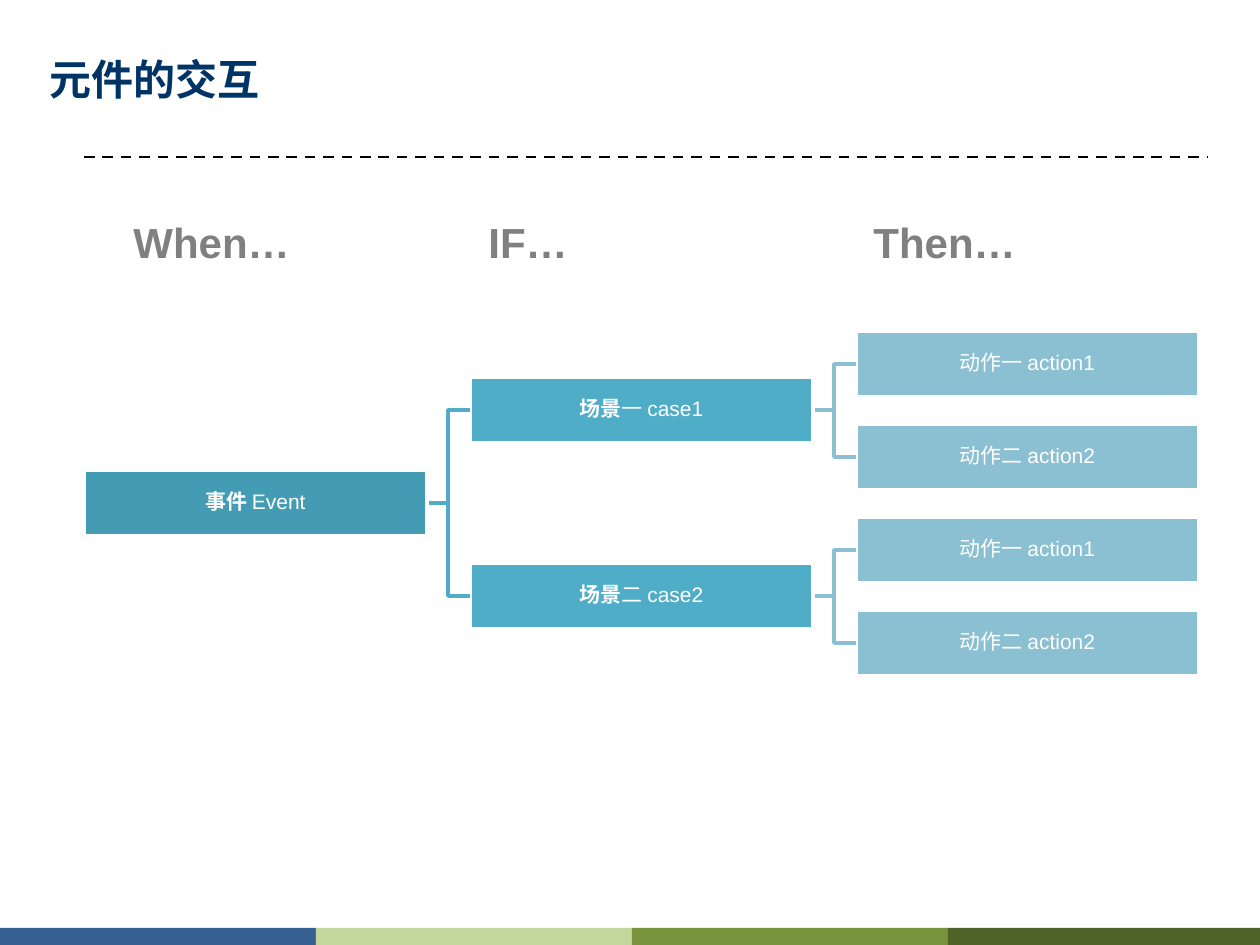
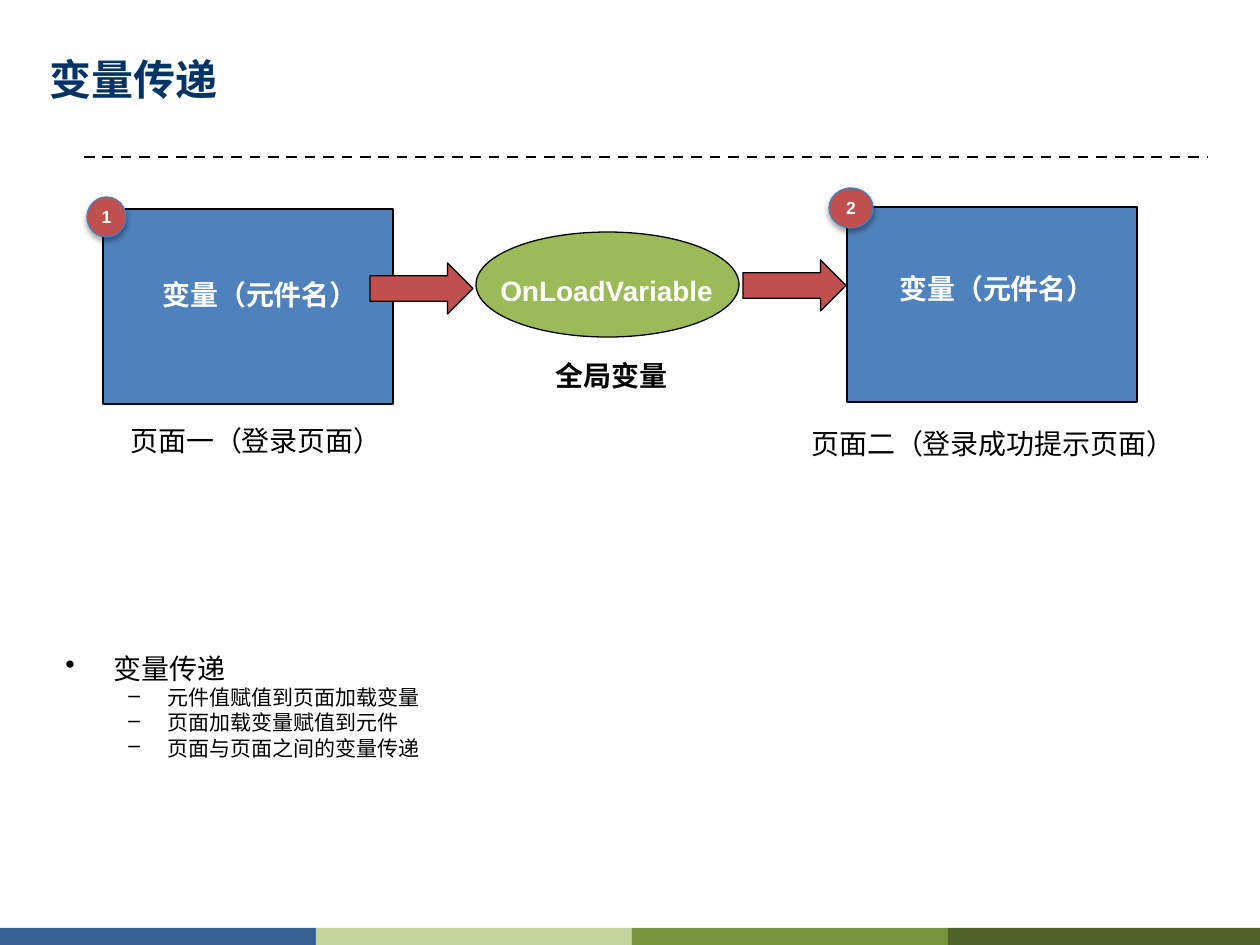
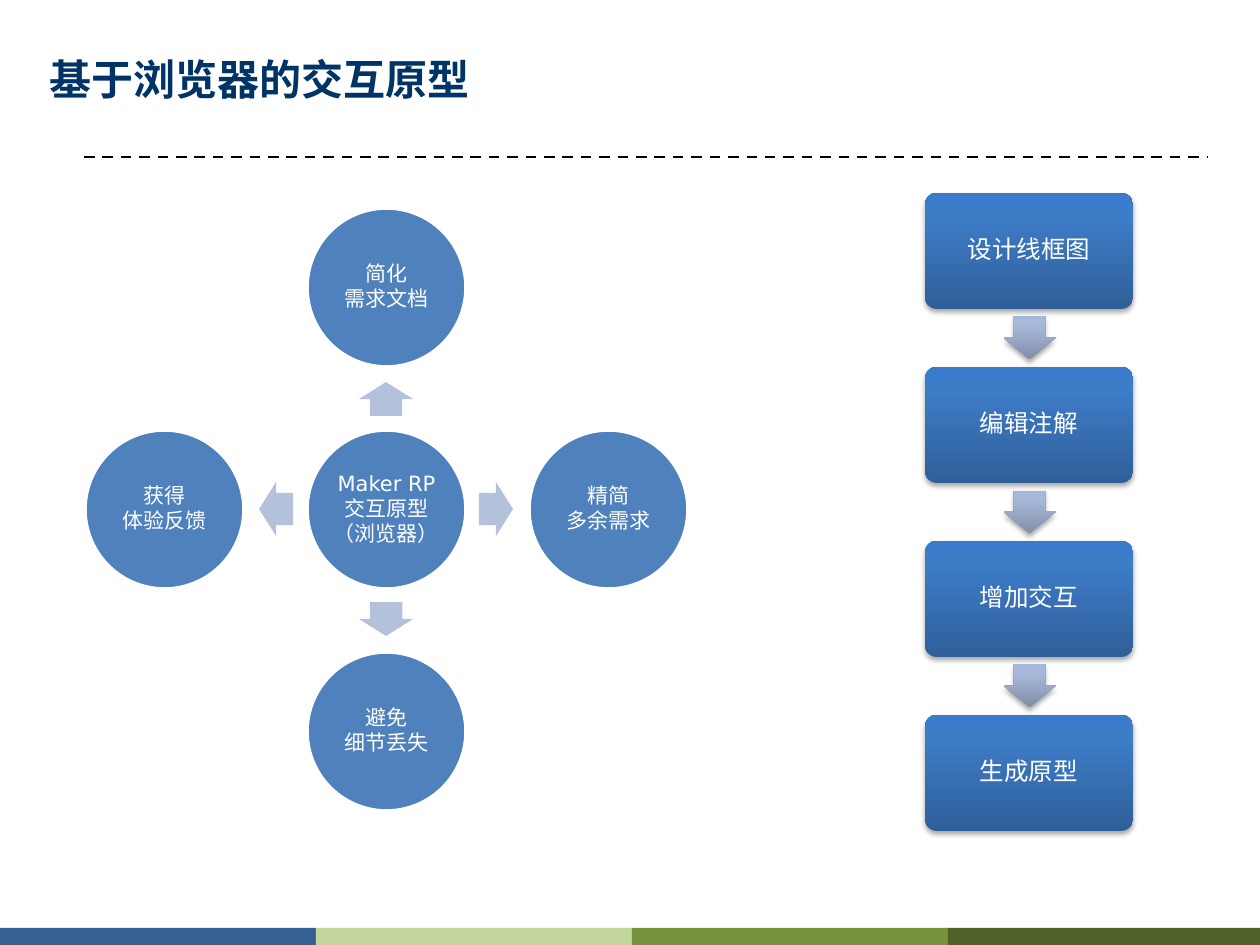
from dataclasses import dataclass

from lxml.etree import SubElement
from pptx import Presentation
from pptx.dml.color import RGBColor
from pptx.enum.dml import MSO_LINE
from pptx.enum.shapes import MSO_CONNECTOR, MSO_SHAPE
from pptx.enum.text import MSO_ANCHOR, PP_ALIGN
from pptx.oxml import parse_xml
from pptx.oxml.ns import nsdecls, qn
from pptx.util import Emu, Pt

PX = 914400 / 126
WIDTH, HEIGHT = 1260, 945
CJK = "Noto Sans CJK SC"
LATIN = "Arial"
DIAGRAM = "DejaVu Sans"
COLORS = {
    "title": "003366", "black": "000000", "white": "FFFFFF", "heading": "808080",
    "event": "449CB4", "case": "50ADC7", "action": "8BC0D3",
    "page": "4F81BD", "red": "C0504D", "badge_line": "4B7EBC", "variable": "9BBB59",
    "pale_arrow": "B3C1DB",
}
BANDS = ("376092", "C3D69B", "77933C", "4F6228")
STEP_GRADIENT = ((0, "2F5F99"), (80, "3D7CC7"), (100, "3A7CCB"))
ARROW_GRADIENT = ((0, "818FA8"), (80, "A7B9DA"), (100, "A7BADC"))


@dataclass(frozen=True)
class Box:
    """A rectangle in px."""
    x: int
    y: int
    w: int
    h: int

    def emu(self) -> tuple:
        """Return left, top, width and height in EMU."""
        return tuple(px(v) for v in (self.x, self.y, self.w, self.h))


@dataclass(frozen=True)
class Style:
    """The look of a run of text."""
    size: int
    color: str = "black"
    bold: bool = False
    font: str = LATIN


@dataclass(frozen=True)
class Node:
    """A box of the event tree, with a bold and a plain part of its label."""
    strong: str
    plain: str
    children: tuple = ()


@dataclass(frozen=True)
class Label:
    """A free-standing line of text."""
    text: str
    box: Box
    style: Style


@dataclass(frozen=True)
class Page:
    """A page block with its numbered badge."""
    number: str
    box: Box
    badge: Box


@dataclass(frozen=True)
class Spoke:
    """A circle around the hub, with its direction."""
    text: str
    dx: int
    dy: int
    angle: int


ACTIONS = (Node("", "动作一 action1"), Node("", "动作二 action2"))
TREE = Node("事件 ", "Event", (
    Node("场景", "一 case1", ACTIONS),
    Node("场景", "二 case2", ACTIONS),
))
LEVELS = ("event", "case", "action")
NODE_X, NODE_STEP, NODE_W, NODE_H = 84, 386, 343, 66
LEAF_Y, LEAF_STEP = 364, 93

HEADING = Style(24, "heading", True)
HEADINGS = (
    Label("When…", Box(121, 210, 248, 63), HEADING),
    Label("IF…", Box(476, 210, 165, 63), HEADING),
    Label("Then…", Box(861, 210, 198, 63), HEADING),
)

PAGES = (
    Page("1", Box(103, 209, 290, 195), Box(87, 197, 39, 40)),
    Page("2", Box(847, 207, 290, 195), Box(829, 188, 44, 40)),
)
FLOW_ARROWS = (Box(370, 263, 103, 51), Box(743, 260, 103, 51))
VARIABLE_BOX = Box(476, 232, 263, 105)
ON_FILL = Style(16, "white", True)
VARIABLE_LABELS = (
    Label("页面一（登录页面）", Box(118, 417, 280, 47), Style(16)),
    Label("页面二（登录成功提示页面）", Box(799, 420, 393, 47), Style(16)),
    Label("变量（元件名）", Box(150, 271, 223, 47), ON_FILL),
    Label("变量（元件名）", Box(887, 265, 223, 47), ON_FILL),
    Label("OnLoadVariable", Box(488, 267, 251, 47), ON_FILL),
    Label("全局变量", Box(543, 352, 139, 47), Style(16, bold=True)),
)
BULLETS = ("变量传递", "元件值赋值到页面加载变量", "页面加载变量赋值到元件", "页面与页面之间的变量传递")

HUB_X, HUB_Y, CIRCLE, SPOKE, ARROW_REACH = 386, 509, 159, 222, 110
HUB_TEXT = "Maker RP\n交互原型\n（浏览器）"
SPOKES = (
    Spoke("简化\n需求文档", 0, -1, 270),
    Spoke("精简\n多余需求", 1, 0, 0),
    Spoke("避免\n细节丢失", 0, 1, 90),
    Spoke("获得\n体验反馈", -1, 0, 180),
)
STEPS = ("设计线框图", "编辑注解", "增加交互", "生成原型")
STEP_BOX, STEP_PITCH = Box(925, 193, 208, 116), 174


def px(value: float) -> Emu:
    """Turn px into EMU."""
    return Emu(round(value * PX))


def rgb(name: str) -> RGBColor:
    """Look a colour up by name, or take it as hex."""
    return RGBColor.from_string(COLORS.get(name, name))


def centred(x: int, y: int, w: int, h: int) -> Box:
    """Return a box around a centre point."""
    return Box(x - w // 2, y - h // 2, w, h)


def format_run(r, style: Style) -> None:
    """Apply a text style to one run."""
    r.font.size = Pt(style.size)
    r.font.bold = style.bold
    r.font.color.rgb = rgb(style.color)
    r.font.name = style.font
    SubElement(r._r.get_or_add_rPr(), qn("a:ea")).set("typeface", CJK)


def write(sp, text: str, style: Style, align=PP_ALIGN.LEFT) -> None:
    """Set the text of a shape and format all its runs."""
    tf = sp.text_frame
    tf.text = text
    for p in tf.paragraphs:
        p.alignment = align
        for r in p.runs:
            format_run(r, style)


def write_centred(sp, text: str, style: Style, inset: int) -> None:
    """Write tight centred lines into a diagram shape."""
    tf = sp.text_frame
    tf.word_wrap = True
    tf.vertical_anchor = MSO_ANCHOR.MIDDLE
    tf.margin_left = tf.margin_right = tf.margin_top = tf.margin_bottom = px(inset)
    write(sp, text, style, PP_ALIGN.CENTER)
    for p in tf.paragraphs:
        p.line_spacing = 0.9
    for p in tf.paragraphs[1:]:
        p.space_before = Pt(1.5)


def add_shape(s, kind, box: Box, fill: str, line: str = "", width: float = 0.75):
    """Add a filled preset shape without a shadow."""
    sp = s.shapes.add_shape(kind, *box.emu())
    sp.shadow.inherit = False
    sp.fill.solid()
    sp.fill.fore_color.rgb = rgb(fill)
    if line:
        sp.line.color.rgb = rgb(line)
        sp.line.width = Pt(width)
    else:
        sp.line.fill.background()
    return sp


def add_label(s, label: Label) -> None:
    """Add a line of text that does not wrap."""
    sp = s.shapes.add_textbox(*label.box.emu())
    sp.text_frame.word_wrap = False
    write(sp, label.text, label.style)


def add_shadow(sp) -> None:
    """Give a shape a soft shadow below it."""
    effects = sp._element.spPr.find(qn("a:effectLst"))
    effects.append(parse_xml(
        f'<a:outerShdw {nsdecls("a")} blurRad="39370" dist="22860" dir="5400000" rotWithShape="0">'
        '<a:srgbClr val="000000"><a:alpha val="35000"/></a:srgbClr></a:outerShdw>'))


def set_gradient(sp, stops: tuple) -> None:
    """Replace the solid fill by an upward gradient."""
    colors = "".join(f'<a:gs pos="{pos * 1000}"><a:srgbClr val="{c}"/></a:gs>' for pos, c in stops)
    solid = sp._element.spPr.find(qn("a:solidFill"))
    solid.getparent().replace(solid, parse_xml(
        f'<a:gradFill {nsdecls("a")} rotWithShape="0"><a:gsLst>{colors}</a:gsLst>'
        '<a:lin ang="16200000" scaled="0"/></a:gradFill>'))


def add_block_arrow(s, box: Box, angle: int):
    """Add a wide pale arrow turned by an angle."""
    sp = add_shape(s, MSO_SHAPE.RIGHT_ARROW, box, "pale_arrow")
    sp.adjustments[0], sp.adjustments[1] = 0.6, 0.5
    sp.rotation = angle
    return sp


def new_slide(prs, title: str):
    """Add a slide with the shared title, rule and bottom bands."""
    s = prs.slides.add_slide(prs.slide_layouts[5])
    rule = s.shapes.add_connector(MSO_CONNECTOR.STRAIGHT, px(84), px(157), px(1207), px(157))
    rule.line.color.rgb = rgb("black")
    rule.line.width = Pt(1.5)
    rule.line.dash_style = MSO_LINE.DASH
    SubElement(rule._element.spPr, qn("a:effectLst"))
    for i, color in enumerate(BANDS):
        add_shape(s, MSO_SHAPE.RECTANGLE, Box(316 * i, 928, 316, 21), color)
    sp = s.shapes.title
    sp.left, sp.top, sp.width, sp.height = Box(37, 21, 1197, 116).emu()
    sp.text_frame.vertical_anchor = MSO_ANCHOR.MIDDLE
    write(sp, title, Style(24, "title", True, CJK))
    return s


def add_elbow(s, x: int, y: int, end_y: int, color: str) -> None:
    """Draw an angled line across the gap between two levels."""
    gap = NODE_STEP - NODE_W
    builder = s.shapes.build_freeform(x, y, scale=PX)
    builder.add_line_segments(
        [(x + gap // 2, y), (x + gap // 2, end_y), (x + gap, end_y)], close=False)
    sp = builder.convert_to_shape()
    sp.shadow.inherit = False
    sp.fill.background()
    sp.line.color.rgb = rgb(color)
    sp.line.width = Pt(2)


def add_node(s, node: Node, depth: int = 0, leaf: int = 0) -> tuple[int, int]:
    """Draw a subtree and return its centre and the next free leaf row."""
    x = NODE_X + NODE_STEP * depth
    centres = []
    for child in node.children:
        centre, leaf = add_node(s, child, depth + 1, leaf)
        centres.append(centre)
    if centres:
        y = sum(centres) // len(centres)
    else:
        y = LEAF_Y + LEAF_STEP * leaf
        leaf += 1
    for centre in centres:
        add_elbow(s, x + NODE_W, y, centre, LEVELS[depth + 1])
    sp = add_shape(s, MSO_SHAPE.RECTANGLE, Box(x, y - NODE_H // 2, NODE_W, NODE_H),
                   LEVELS[depth], "white", 2)
    write_centred(sp, node.strong, Style(12, "white", True), 1)
    r = sp.text_frame.paragraphs[0].add_run()
    r.text = node.plain
    format_run(r, Style(12, "white"))
    return y, leaf


def add_bullets(s) -> None:
    """Add the bulleted summary: one heading and its sub-items."""
    sp = s.shapes.add_textbox(*Box(53, 645, 679, 198).emu())
    sp.text_frame.word_wrap = True
    sp.text_frame.text = "\n".join(BULLETS)
    for i, p in enumerate(sp.text_frame.paragraphs):
        p.level = min(i, 1)
        mark, left, hang, size = ("–", 102, 39, 12) if i else ("•", 48, 48, 16)
        pPr = p._p.get_or_add_pPr()
        pPr.set("marL", str(px(left)))
        pPr.set("indent", str(-px(hang)))
        SubElement(pPr, qn("a:buChar")).set("char", mark)
        format_run(p.runs[0], Style(size, font=CJK))


def interaction_slide(prs) -> None:
    """Build the event, case and action tree."""
    s = new_slide(prs, "元件的交互")
    add_node(s, TREE)
    for label in HEADINGS:
        add_label(s, label)


def variable_slide(prs) -> None:
    """Build the flow of a variable between two pages."""
    s = new_slide(prs, "变量传递")
    add_bullets(s)
    for page in PAGES:
        add_shape(s, MSO_SHAPE.RECTANGLE, page.box, "page", "black")
        badge = add_shape(s, MSO_SHAPE.OVAL, page.badge, "red", "badge_line")
        add_shadow(badge)
        badge.text_frame.word_wrap = False
        badge.text_frame.vertical_anchor = MSO_ANCHOR.MIDDLE
        write(badge, page.number, Style(10, "white", True), PP_ALIGN.CENTER)
    for box in FLOW_ARROWS:
        add_shape(s, MSO_SHAPE.RIGHT_ARROW, box, "red", "black")
    add_shape(s, MSO_SHAPE.OVAL, VARIABLE_BOX, "variable", "black")
    for label in VARIABLE_LABELS:
        add_label(s, label)


def add_circle(s, x: int, y: int, text: str) -> None:
    """Add a labelled circle around a centre point."""
    sp = add_shape(s, MSO_SHAPE.OVAL, centred(x, y, CIRCLE, CIRCLE), "page", "white", 2)
    write_centred(sp, text, Style(12, "white", font=DIAGRAM), 2)


def prototype_slide(prs) -> None:
    """Build the hub of benefits and the column of steps."""
    s = new_slide(prs, "基于浏览器的交互原型")
    add_circle(s, HUB_X, HUB_Y, HUB_TEXT)
    for spoke in SPOKES:
        x, y = HUB_X + spoke.dx * ARROW_REACH, HUB_Y + spoke.dy * ARROW_REACH
        add_block_arrow(s, centred(x, y, 34, 54), spoke.angle)
        add_circle(s, HUB_X + spoke.dx * SPOKE, HUB_Y + spoke.dy * SPOKE, spoke.text)
    for i, text in enumerate(STEPS):
        box = Box(STEP_BOX.x, STEP_BOX.y + STEP_PITCH * i, STEP_BOX.w, STEP_BOX.h)
        if i:
            x, y = box.x + box.w // 2, box.y - (STEP_PITCH - box.h) // 2
            arrow = add_block_arrow(s, centred(x, y, 43, 52), 90)
            set_gradient(arrow, ARROW_GRADIENT)
            add_shadow(arrow)
        sp = add_shape(s, MSO_SHAPE.ROUNDED_RECTANGLE, box, "page")
        sp.adjustments[0] = 0.1
        set_gradient(sp, STEP_GRADIENT)
        add_shadow(sp)
        write_centred(sp, text, Style(14, "white", font=DIAGRAM), 8)


def main() -> None:
    """Build and save the slides."""
    prs = Presentation()
    prs.slide_width, prs.slide_height = px(WIDTH), px(HEIGHT)
    interaction_slide(prs)
    variable_slide(prs)
    prototype_slide(prs)
    prs.save("out.pptx")


if __name__ == "__main__":
    main()
